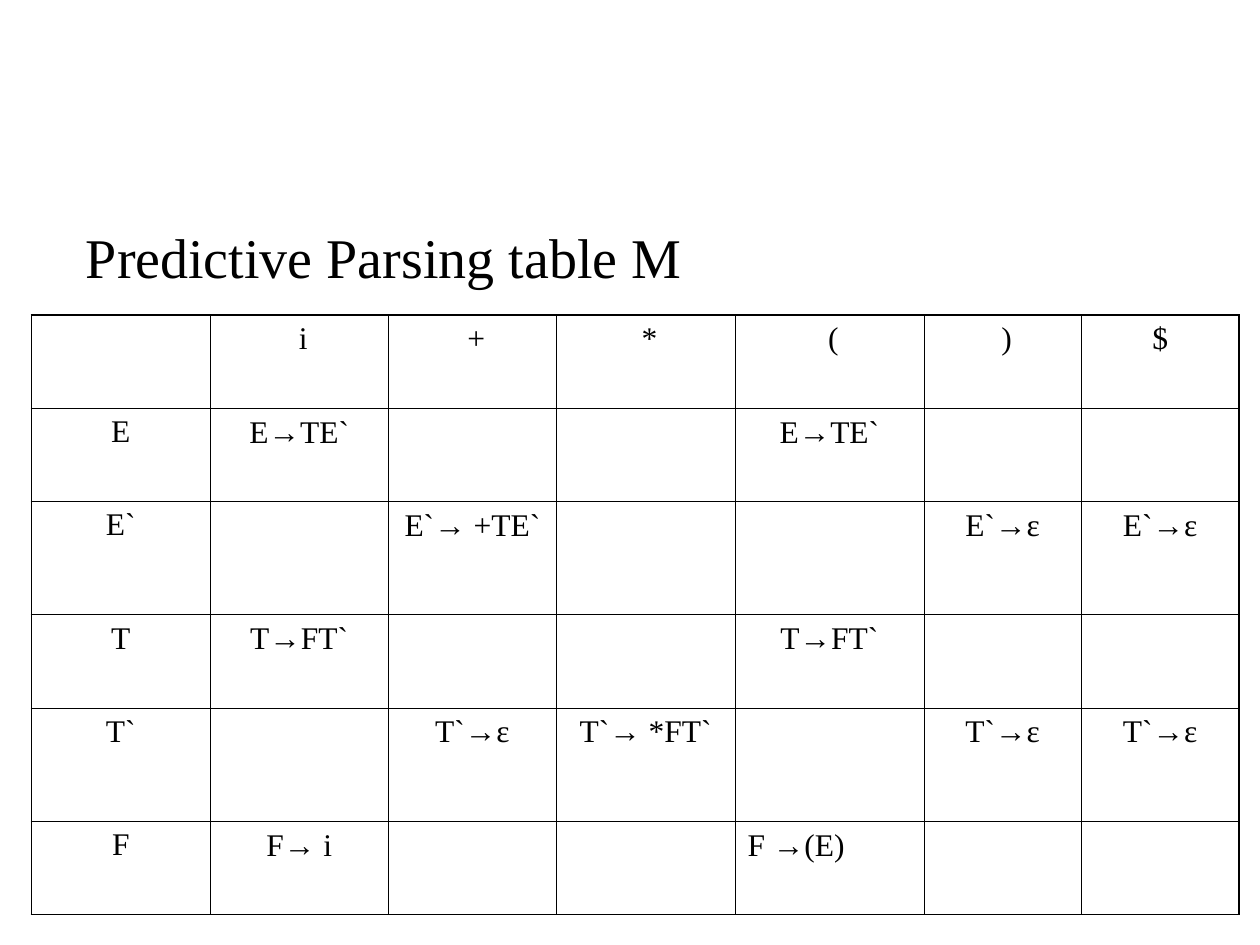
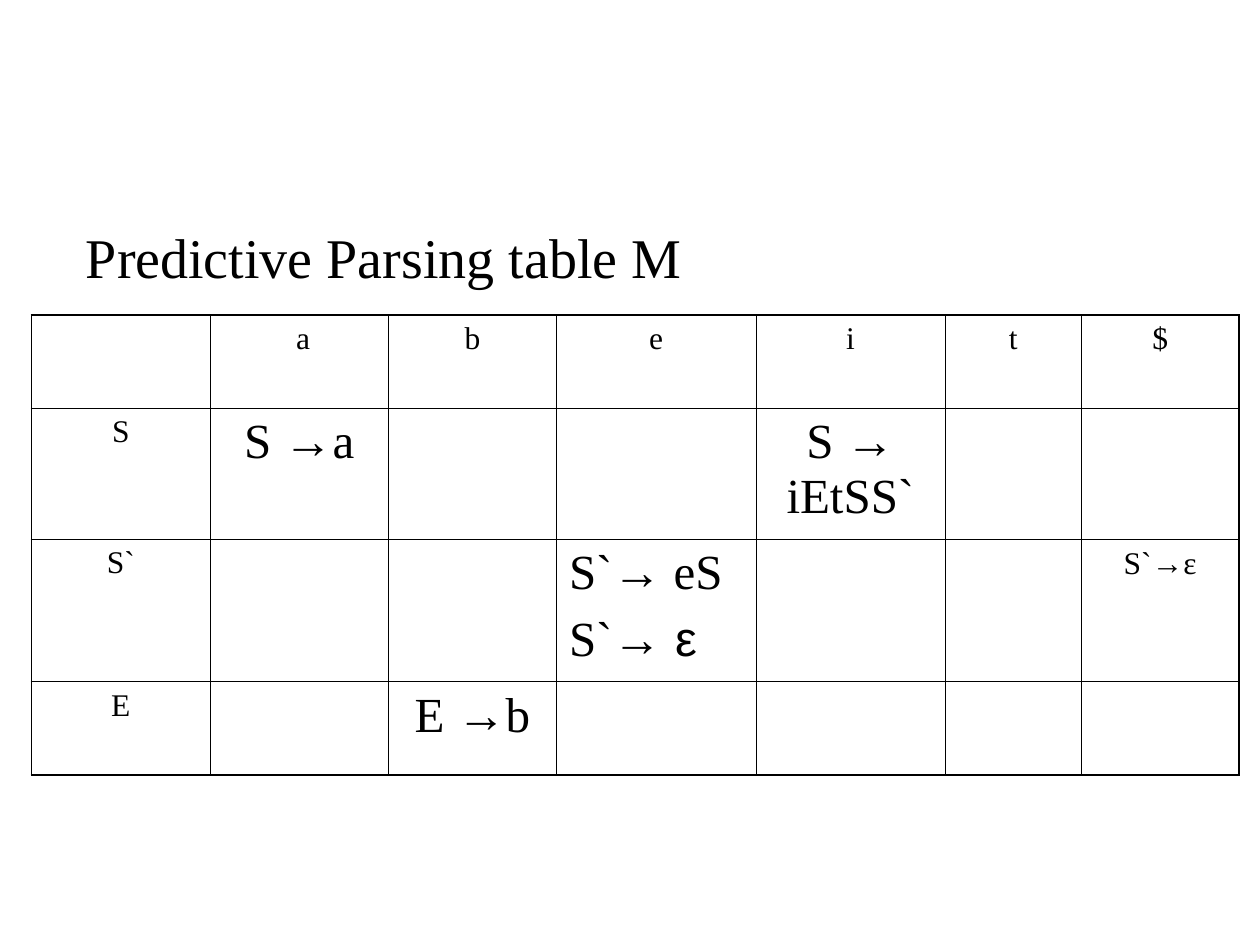
import dataclasses

import lxml.etree
import pptx
import pptx.dml.color
import pptx.enum.text
import pptx.oxml.ns
import pptx.util

SLIDE_W, SLIDE_H = pptx.util.Inches(10), pptx.util.Inches(7.5)
GRID_COLS, GRID_ROWS = 120, 750
BLACK = "000000"
SERIF, SANS = "Times New Roman", "Arial"
TITLE = "Predictive Parsing table M"
TITLE_SIZE, LARGE, SMALL = 32, 28, 18
OUTER, INNER = 1.08, 0.45
CENTER = pptx.enum.text.PP_ALIGN.CENTER
LEFT = pptx.enum.text.PP_ALIGN.LEFT


@dataclasses.dataclass(frozen=True)
class Entry:
    text: str
    size: int = SMALL
    align: pptx.enum.text.PP_ALIGN = CENTER


@dataclasses.dataclass(frozen=True)
class ParsingTable:
    cols: tuple[int, ...]
    rows: tuple[int, ...]
    terminals: tuple[str, ...]
    nonterminals: tuple[str, ...]
    productions: dict[tuple[str, str], Entry]


EXPRESSIONS = ParsingTable(
    cols=(17, 17, 16, 17, 18, 15, 15),
    rows=(74, 74, 90, 74, 90, 74),
    terminals=(" i", " +", " *", " (", " )", "$"),
    nonterminals=("E", "E`", "T", "T`", "F"),
    productions={
        ("E", "i"): Entry("E→TE`"),
        ("E", "("): Entry("E→TE`"),
        ("E`", "+"): Entry("E`→ +TE`"),
        ("E`", ")"): Entry("E`→ε"),
        ("E`", "$"): Entry("E`→ε"),
        ("T", "i"): Entry("T→FT`"),
        ("T", "("): Entry("T→FT`"),
        ("T`", "+"): Entry("T`→ε"),
        ("T`", "*"): Entry("T`→ *FT`"),
        ("T`", ")"): Entry("T`→ε"),
        ("T`", "$"): Entry("T`→ε"),
        ("F", "i"): Entry("F→ i"),
        ("F", "("): Entry("F →(E)", align=LEFT),
    },
)

CONDITIONALS = ParsingTable(
    cols=(17, 17, 16, 19, 18, 13, 15),
    rows=(74, 104, 113, 74),
    terminals=(" a", "b", "e", "i", "t", "$"),
    nonterminals=("S", "S`", "E"),
    productions={
        ("S", "a"): Entry("S →a", LARGE),
        ("S", "i"): Entry("S → iEtSS`", LARGE),
        ("S`", "e"): Entry("S`→ eS\nS`→ ε", LARGE, LEFT),
        ("S`", "$"): Entry("S`→ε"),
        ("E", "b"): Entry("E →b", LARGE),
    },
)


def color(value: str) -> pptx.dml.color.RGBColor:
    return pptx.dml.color.RGBColor.from_string(value)


def x(cols: float) -> int:
    return round(SLIDE_W * cols / GRID_COLS)


def y(rows: float) -> int:
    return round(SLIDE_H * rows / GRID_ROWS)


def set_all(target, values: dict) -> None:
    for name, value in values.items():
        setattr(target, name, value)


def add_run(p, text: str, size: int, font: str = SERIF) -> None:
    r = p.add_run()
    r.text = text
    set_all(r.font, {"size": pptx.util.Pt(size), "name": font, "bold": False})
    r.font.color.rgb = color(BLACK)


def write_entry(tf, entry: Entry) -> None:
    for i, line in enumerate(entry.text.split("\n")):
        p = tf.paragraphs[0] if i == 0 else tf.add_paragraph()
        p.alignment = entry.align
        if i:
            p.space_before = pptx.util.Pt(entry.size / 4)
        arrow = "→ ε" if "→ ε" in line else "→"
        before, found, after = line.partition(arrow)
        for text, font in ((before, SERIF), (found, SANS), (after, SERIF)):
            if text:
                add_run(p, text, entry.size, font)


def set_borders(cell, widths: dict[str, float]) -> None:
    tcPr = cell._tc.get_or_add_tcPr()
    for i, (side, width) in enumerate(widths.items()):
        ln = lxml.etree.Element(pptx.oxml.ns.qn(f"a:ln{side}"), w=str(pptx.util.Pt(width)))
        fill = lxml.etree.SubElement(ln, pptx.oxml.ns.qn("a:solidFill"))
        lxml.etree.SubElement(fill, pptx.oxml.ns.qn("a:srgbClr"), val=BLACK)
        tcPr.insert(i, ln)


def add_title(s) -> None:
    sp = s.shapes.add_textbox(x(7), y(167), x(102), y(500))
    tf = sp.text_frame
    set_all(tf, {"word_wrap": True, "margin_top": y(10)})
    add_run(tf.paragraphs[0], TITLE, TITLE_SIZE)


def entry_at(spec: ParsingTable, row: int, col: int) -> Entry | None:
    if row and col:
        key = spec.nonterminals[row - 1], spec.terminals[col - 1].strip()
        return spec.productions.get(key)
    if row:
        return Entry(spec.nonterminals[row - 1])
    return Entry(spec.terminals[col - 1]) if col else None


def add_parsing_table(s, spec: ParsingTable) -> None:
    n_rows, n_cols = len(spec.rows), len(spec.cols)
    frame = s.shapes.add_table(n_rows, n_cols, x(3), y(250), x(sum(spec.cols)), y(sum(spec.rows)))
    table = frame.table
    set_all(table, {"first_row": False, "horz_banding": False})
    for column, width in zip(table.columns, spec.cols):
        column.width = x(width)
    for row, height in zip(table.rows, spec.rows):
        row.height = y(height)
    for i in range(n_rows):
        for j in range(n_cols):
            cell = table.cell(i, j)
            cell.fill.background()
            edges = {"L": j == 0, "R": j == n_cols - 1, "T": i == 0, "B": i == n_rows - 1}
            set_borders(cell, {side: OUTER if edge else INNER for side, edge in edges.items()})
            entry = entry_at(spec, i, j)
            if entry:
                write_entry(cell.text_frame, entry)


def main() -> None:
    prs = pptx.Presentation()
    set_all(prs, {"slide_width": SLIDE_W, "slide_height": SLIDE_H})
    for spec in (EXPRESSIONS, CONDITIONALS):
        s = prs.slides.add_slide(prs.slide_layouts[6])
        add_title(s)
        add_parsing_table(s, spec)
    prs.save("out.pptx")


if __name__ == "__main__":
    main()
